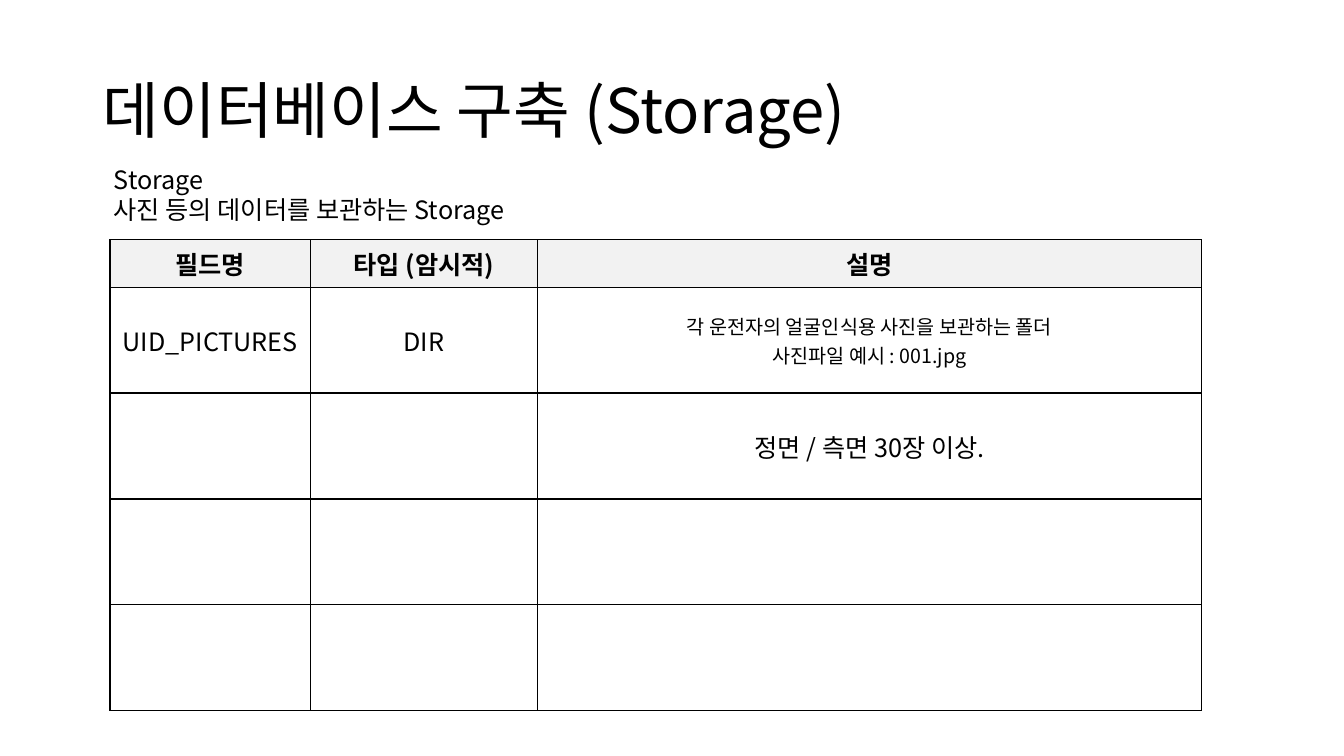
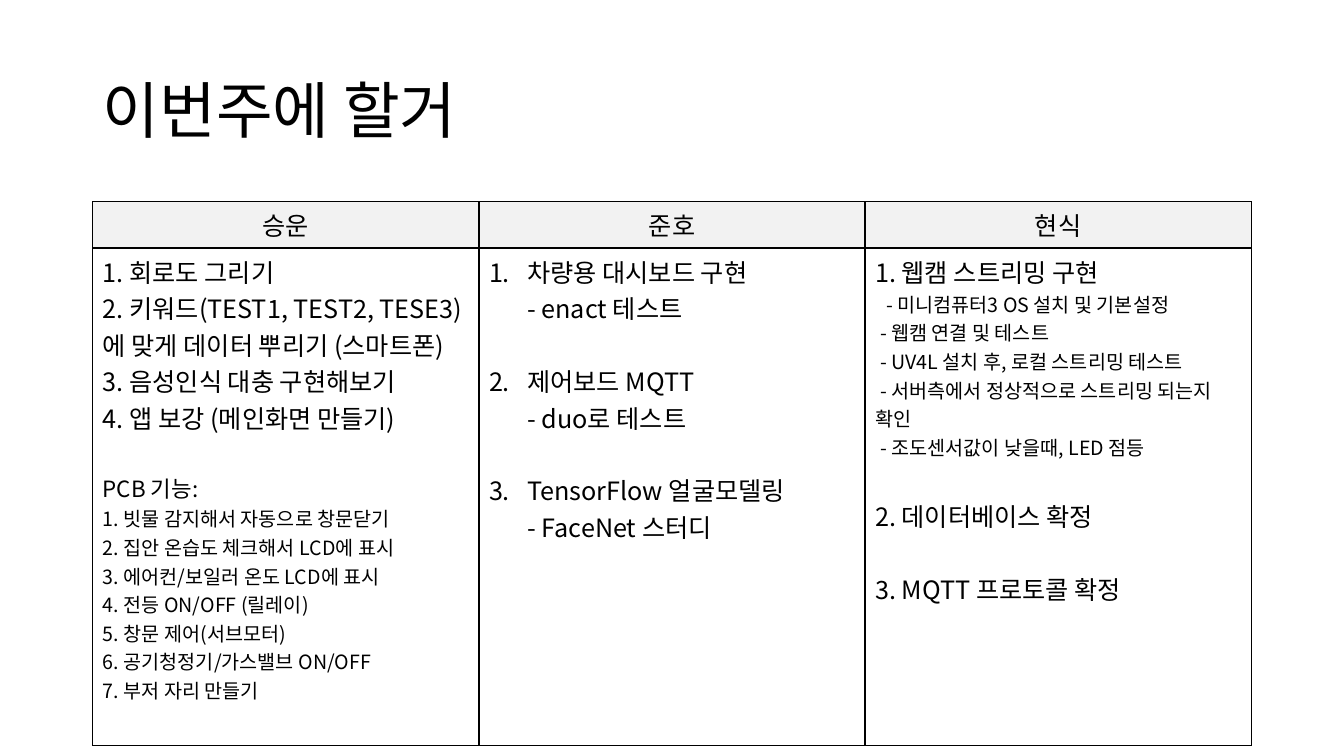
"""Build two slides on storage setup and this week's tasks."""
import pptx
import pptx.util
import pptx.dml.color
import pptx.enum.text
import pptx.oxml.ns
from lxml import etree

Inches, Pt = pptx.util.Inches, pptx.util.Pt
BLACK = pptx.dml.color.RGBColor(0, 0, 0)
GREY = pptx.dml.color.RGBColor(0xF2, 0xF2, 0xF2)
FONT = "Noto Sans CJK KR"
LEFT, MID = pptx.enum.text.PP_ALIGN.LEFT, pptx.enum.text.PP_ALIGN.CENTER
TOP, CENTER = pptx.enum.text.MSO_ANCHOR.TOP, pptx.enum.text.MSO_ANCHOR.MIDDLE


def node(parent, tag, **attrs):
    """Add a drawing element with its attributes."""
    return etree.SubElement(parent, pptx.oxml.ns.qn("a:" + tag), attrs)


def write(para, text, size=18, bold=False, align=LEFT, line=None,
          after=0, first=0, number=False):
    """Put formatted text in a paragraph."""
    para.text = text
    para.alignment = align
    para.space_after = Pt(after)
    if line:
        para.line_spacing = line
    props = para._p.get_or_add_pPr()
    if first:
        props.set("indent", str(Inches(first)))
    if number:
        props.set("marL", str(Inches(0.38)))
        props.set("indent", str(Inches(-0.38)))
        node(props, "buFont", typeface=FONT)
        node(props, "buAutoNum", type="arabicPeriod")
    for run in para.runs:
        font = run.font
        font.size, font.bold, font.name = Pt(size), bold, FONT
        font.color.rgb = BLACK
        node(run._r.get_or_add_rPr(), "ea", typeface=FONT)


class Deck:
    """Hold the shared style and the current slide."""

    def __init__(self):
        """Start a wide deck."""
        self.show = pptx.Presentation()
        self.show.slide_width = Inches(13.33)
        self.show.slide_height = Inches(7.5)

    def page(self, title):
        """Add a slide with its title."""
        self.slide = self.show.slides.add_slide(self.show.slide_layouts[6])
        self.text(0.92, 0.4, 11.5, 1.45, [title], anchor=CENTER, size=44, line=0.9)

    def fill(self, frame, items, **form):
        """Write one paragraph for each item."""
        for i, item in enumerate(items):
            text, own = (item, {}) if isinstance(item, str) else item
            para = frame.add_paragraph() if i else frame.paragraphs[0]
            write(para, text, **{**form, **own})

    def text(self, x, y, w, h, items, anchor=TOP, wrap=True, **form):
        """Add a text box."""
        box = self.slide.shapes.add_textbox(*map(Inches, (x, y, w, h)))
        frame = box.text_frame
        frame.word_wrap, frame.vertical_anchor = wrap, anchor
        self.fill(frame, items, **form)

    def edge(self, cell):
        """Draw black lines around a cell."""
        props = cell._tc.get_or_add_tcPr()
        for side in ("lnL", "lnR", "lnT", "lnB"):
            line = node(props, side, w=str(Pt(1)))
            node(node(line, "solidFill"), "srgbClr", val=str(BLACK))

    def table(self, x, y, cols, rows, cells, anchor=TOP, bold=False, align=LEFT):
        """Add a bordered table with a grey header row."""
        size = map(Inches, (x, y, sum(cols), sum(rows)))
        grid = self.slide.shapes.add_table(len(rows), len(cols), *size).table
        grid.first_row = grid.horz_banding = False
        for col, width in zip(grid.columns, cols):
            col.width = Inches(width)
        for r, height in enumerate(rows):
            grid.rows[r].height = Inches(height)
            for c in range(len(cols)):
                cell = grid.cell(r, c)
                cell.vertical_anchor = anchor
                self.edge(cell)
                if r:
                    cell.fill.background()
                else:
                    cell.fill.solid()
                    cell.fill.fore_color.rgb = GREY
                self.fill(cell.text_frame, cells.get((r, c), []),
                          bold=bold and r == 0, align=align if r else MID)


SMALL = {"size": 14}
DASH = {"size": 14, "first": 0.05}
GAP = {"after": 26}

deck = Deck()
deck.page("데이터베이스 구축 (Storage)")
deck.table(1.09, 2.38, [1.99, 2.25, 6.59], [0.47] + [1.05] * 4, {
    (0, 0): ["필드명"],
    (0, 1): ["타입 (암시적)"],
    (0, 2): ["설명"],
    (1, 0): ["UID_PICTURES"],
    (1, 1): ["DIR"],
    (1, 2): [("각 운전자의 얼굴인식용 사진을 보관하는 폴더", SMALL),
             ("사진파일 예시 : 001.jpg", SMALL)],
    (2, 2): ["정면 / 측면 30장 이상."],
}, anchor=CENTER, bold=True, align=MID)
deck.text(1.03, 1.58, 4.46, 0.71,
          ["Storage", "사진 등의 데이터를 보관하는 Storage"], wrap=False)

deck.page("이번주에 할거")
parts = ["빗물 감지해서 자동으로 창문닫기", "집안 온습도 체크해서 LCD에 표시",
         "에어컨/보일러 온도 LCD에 표시", "전등 ON/OFF (릴레이)",
         "창문 제어(서브모터)", "공기청정기/가스밸브 ON/OFF", "부저 자리 만들기"]
steps = ["웹캠 연결 및 테스트", "UV4L 설치 후, 로컬 스트리밍 테스트",
         "서버측에서 정상적으로 스트리밍 되는지 확인"]
deck.table(0.92, 2, [3.83] * 3, [0.46, 4.94], {
    (0, 0): ["승운"],
    (0, 1): ["준호"],
    (0, 2): ["현식"],
    (1, 0): ["1. 회로도 그리기",
             "2. 키워드(TEST1, TEST2, TESE3)에 맞게 데이터 뿌리기 (스마트폰)",
             "3. 음성인식 대충 구현해보기",
             ("4. 앱 보강 (메인화면 만들기)", GAP),
             ("PCB 기능:", {"size": 16}),
             *[(f"{i}. {part}", SMALL) for i, part in enumerate(parts, 1)]],
    (1, 1): [("차량용 대시보드 구현\v- enact 테스트", {"number": True, **GAP}),
             ("제어보드 MQTT\v- duo로 테스트", {"number": True, **GAP}),
             ("TensorFlow 얼굴모델링\v- FaceNet 스터디", {"number": True})],
    (1, 2): ["1. 웹캠 스트리밍 구현",
             ("- 미니컴퓨터3 OS 설치 및 기본설정", {"size": 14, "first": 0.11}),
             *[("- " + step, DASH) for step in steps],
             ("- 조도센서값이 낮을때, LED 점등", {**DASH, **GAP}),
             ("2. 데이터베이스 확정", GAP),
             "3. MQTT 프로토콜 확정"],
})
deck.show.save("out.pptx")
